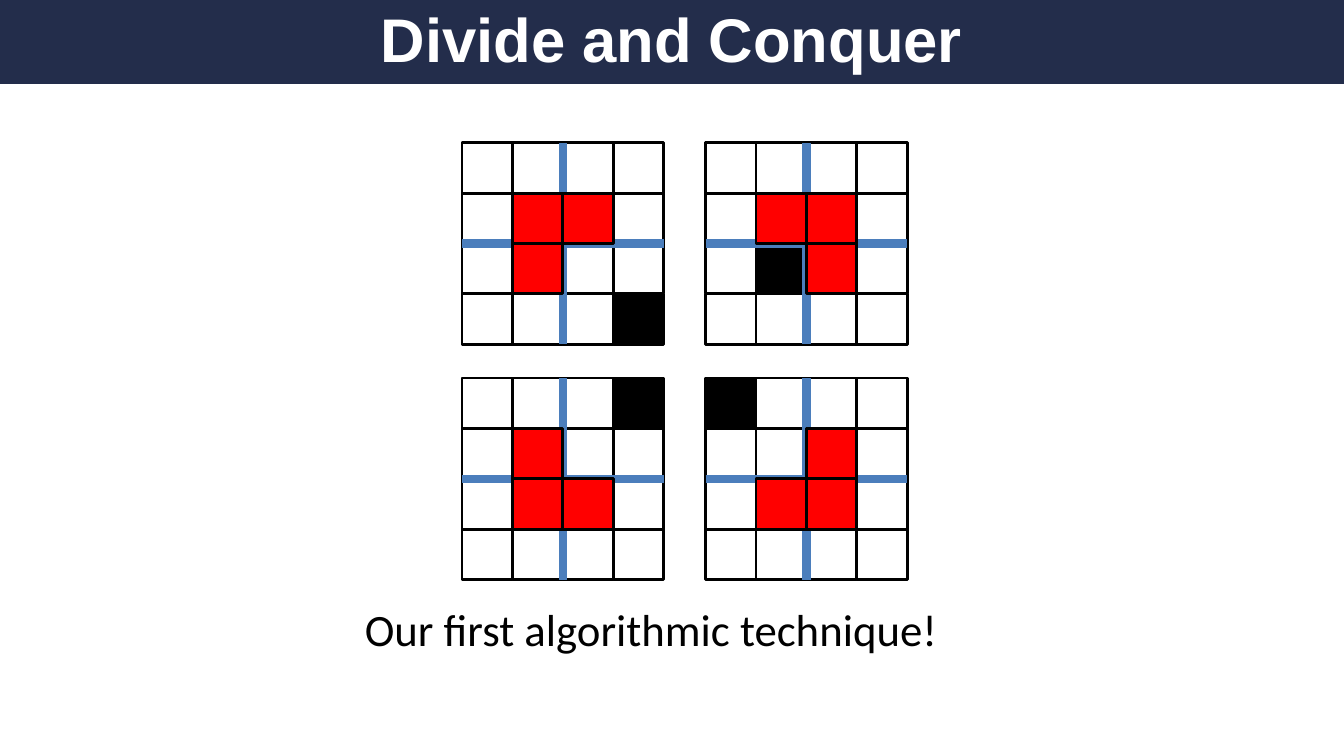
"""Build the Divide and Conquer slide with four tromino boards."""
from itertools import product

from lxml import etree
from pptx import Presentation
from pptx.dml.color import RGBColor
from pptx.enum.shapes import MSO_CONNECTOR, MSO_SHAPE
from pptx.enum.text import MSO_ANCHOR, PP_ALIGN
from pptx.oxml.ns import qn
from pptx.util import Pt

PX = 9525
CELL = 48
HALF = 2 * CELL
SIDE = 4 * CELL
RECTANGLE = MSO_SHAPE.RECTANGLE
STRAIGHT = MSO_CONNECTOR.STRAIGHT
MIDDLE = MSO_ANCHOR.MIDDLE
CENTER = PP_ALIGN.CENTER


def color(hex_string):
    return RGBColor.from_string(hex_string)


def add_cell(group, left, top, column, row, fill=None):
    cell = group.shapes.add_shape(
        RECTANGLE, (left + column * CELL) * PX, (top + row * CELL) * PX, CELL * PX, CELL * PX
    )
    cell.shadow.inherit = False
    cell.line.color.rgb = color("000000")
    cell.line.width = Pt(2)
    if fill:
        cell.fill.solid()
        cell.fill.fore_color.rgb = color(fill)
    else:
        cell.fill.background()


presentation = Presentation()
presentation.slide_width = 1280 * PX
presentation.slide_height = 720 * PX
slide = presentation.slides.add_slide(presentation.slide_layouts[6])
shapes = slide.shapes

band = shapes.add_shape(RECTANGLE, 0, 0, 1280 * PX, 80 * PX)
band.shadow.inherit = False
band.fill.solid()
band.fill.fore_color.rgb = color("232D4B")
band.line.fill.background()

texts = [
    ("Divide and Conquer", (64, 0, 1152, 72), "Arial", 44, "FFFFFF", True),
    ("Our first algorithmic technique!", (338, 568, 673, 61), "Calibri", 32, "000000", False),
]
for text, box, font_name, size, text_color, is_title in texts:
    text_box = shapes.add_textbox(*(length * PX for length in box))
    frame = text_box.text_frame
    frame.word_wrap = True
    paragraph = frame.paragraphs[0]
    if is_title:
        frame.vertical_anchor = MIDDLE
        paragraph.alignment = CENTER
    run = paragraph.add_run()
    run.text = text
    run.font.name = font_name
    run.font.size = Pt(size)
    run.font.bold = is_title
    run.font.color.rgb = color(text_color)

boards = [
    {"left": 440, "top": 136, "black": (3, 3), "open": (2, 2)},
    {"left": 672, "top": 136, "black": (1, 2), "open": (1, 2)},
    {"left": 440, "top": 360, "black": (3, 0), "open": (2, 1)},
    {"left": 672, "top": 360, "black": (0, 0), "open": (1, 1)},
]
for board in boards:
    left, top = board["left"], board["top"]
    tromino_cells = [cell for cell in product((1, 2), repeat=2) if cell != board["open"]]

    grid = shapes.add_group_shape()
    for column, row in product(range(4), repeat=2):
        if (column, row) not in tromino_cells:
            fill = "000000" if (column, row) == board["black"] else None
            add_cell(grid, left, top, column, row, fill)

    dividers = [
        (left + HALF, top, left + HALF, top + SIDE),
        (left, top + HALF, left + SIDE, top + HALF),
    ]
    for ends in dividers:
        divider = shapes.add_connector(STRAIGHT, *(length * PX for length in ends))
        divider.line.color.rgb = color("4B7EBC")
        divider.line.width = Pt(6)
        etree.SubElement(divider._element.spPr, qn("a:effectLst"))

    tromino = shapes.add_group_shape()
    for column, row in tromino_cells:
        add_cell(tromino, left, top, column, row, "FF0000")

presentation.save("out.pptx")
